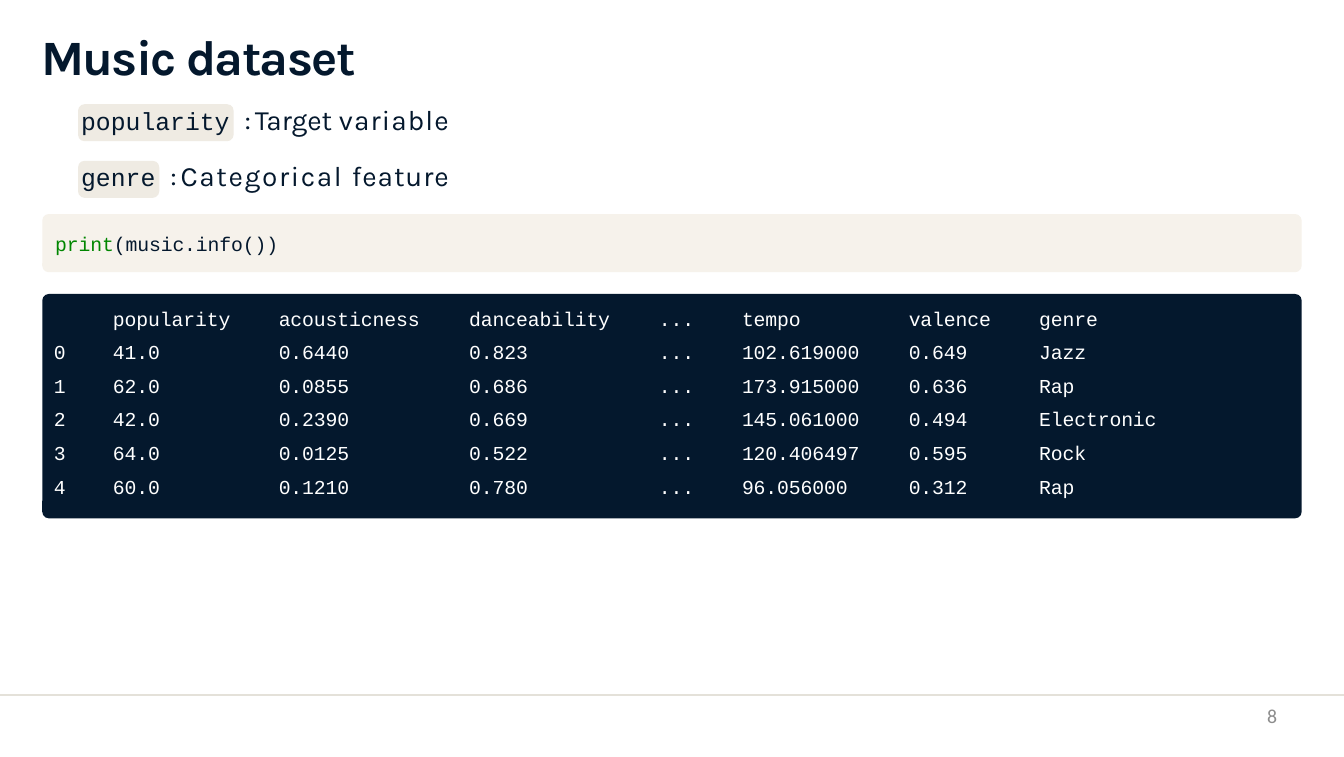
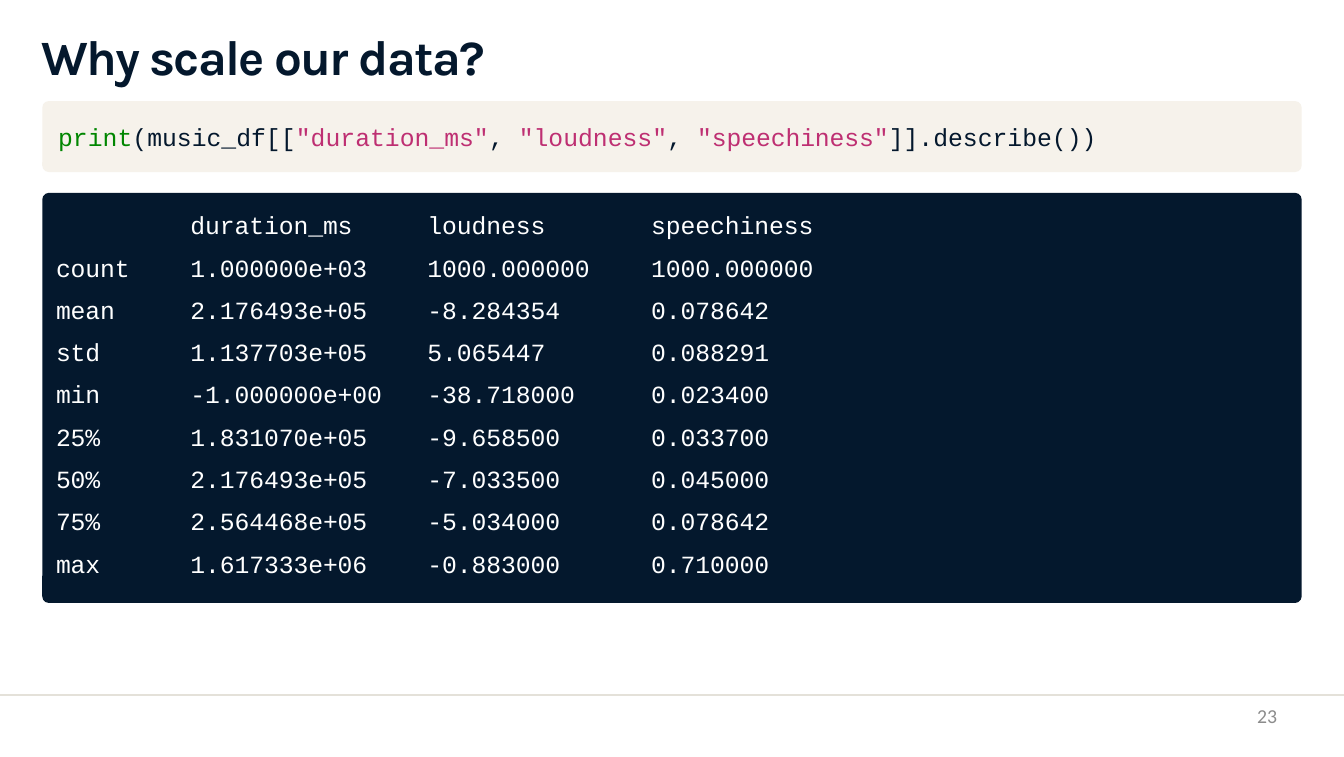
from dataclasses import dataclass

from lxml import etree
from pptx import Presentation
from pptx.dml.color import RGBColor
from pptx.enum.shapes import MSO_CONNECTOR, MSO_SHAPE
from pptx.enum.text import MSO_ANCHOR, PP_ALIGN
from pptx.oxml.ns import qn
from pptx.util import Cm, Pt

# Colours and fonts
NAVY = RGBColor(0x04, 0x18, 0x2D)
CREAM = RGBColor(0xF6, 0xF2, 0xEB)
CHIP = RGBColor(0xEF, 0xEB, 0xE3)
RULE = RGBColor(0xE4, 0xE1, 0xD9)
GRAY = RGBColor(0x8C, 0x8C, 0x8C)
WHITE = RGBColor(0xFF, 0xFF, 0xFF)
GREEN = RGBColor(0x00, 0x86, 0x00)
PINK = RGBColor(0xBE, 0x2F, 0x72)
HEAD_FONT, CODE_FONT, FOOT_FONT = "Karla", "Courier New", "Calibri"

ROUNDED = MSO_SHAPE.ROUNDED_RECTANGLE
STRAIGHT = MSO_CONNECTOR.STRAIGHT
TOP, MIDDLE = MSO_ANCHOR.TOP, MSO_ANCHOR.MIDDLE
LEFT, RIGHT = PP_ALIGN.LEFT, PP_ALIGN.RIGHT
PLAIN_TABLE = "{2D5ABB26-0587-4C30-8999-92F81FD0307C}"

# Shared measures, in centimetres
PAGE_WIDTH, PAGE_HEIGHT = 43.2, 24.33
MARGIN = 1.36
PANEL_WIDTH = PAGE_WIDTH - 2 * MARGIN
RADIUS = 0.21
RULE_TOP = 22.33


@dataclass(frozen=True)
class Span:
    text: str
    color: RGBColor = NAVY
    font: str = CODE_FONT
    size: float = 22.5
    spacing: float = 0
    bold: bool = False


@dataclass(frozen=True)
class Panel:
    top: float
    height: float
    color: RGBColor


@dataclass(frozen=True)
class Grid:
    left: float
    top: float
    row_height: float
    widths: tuple[float, ...]
    size: float
    rows: tuple[str, ...]


@dataclass(frozen=True)
class Feature:
    chip_width: float
    spans: tuple[Span, ...]


def add_run(para, text: str, *, font: str, size: float, color: RGBColor,
            spacing: float = 0, bold: bool = False) -> None:
    run = para.add_run()
    run.text = text
    run.font.name = font
    run.font.size = Pt(size)
    run.font.color.rgb = color
    run.font.bold = bold
    if spacing:
        run._r.get_or_add_rPr().set("spc", str(round(spacing * 100)))


def fill_frame(frame, spans: tuple[Span, ...], anchor=TOP, align=LEFT,
               inset: float = 0) -> None:
    frame.word_wrap = True
    frame.vertical_anchor = anchor
    frame.margin_left = Cm(inset)
    frame.margin_right = frame.margin_top = frame.margin_bottom = 0
    para = frame.paragraphs[0]
    para.alignment = align
    for span in spans:
        add_run(para, span.text, font=span.font, size=span.size,
                color=span.color, spacing=span.spacing, bold=span.bold)


def add_text(page, left: float, top: float, width: float, height: float,
             spans: tuple[Span, ...], anchor=TOP, align=LEFT) -> None:
    box = page.shapes.add_textbox(Cm(left), Cm(top), Cm(width), Cm(height))
    fill_frame(box.text_frame, spans, anchor, align)


def add_rounded(page, left: float, top: float, width: float, height: float,
                color: RGBColor):
    shape = page.shapes.add_shape(ROUNDED, Cm(left), Cm(top), Cm(width), Cm(height))
    shape.adjustments[0] = RADIUS / min(width, height)
    shape.shadow.inherit = False
    shape.fill.solid()
    shape.fill.fore_color.rgb = color
    shape.line.fill.background()
    return shape


def add_panel(page, panel: Panel):
    return add_rounded(page, MARGIN, panel.top, PANEL_WIDTH, panel.height, panel.color)


def add_code(page, panel: Panel, inset: float, spans: tuple[Span, ...]) -> None:
    fill_frame(add_panel(page, panel).text_frame, spans, MIDDLE, inset=inset)


def add_output(page, panel: Panel, grid: Grid) -> None:
    add_panel(page, panel)
    # The header has no entry above the index column
    rows = [line.split() for line in grid.rows]
    rows[0].insert(0, "")
    frame = page.shapes.add_table(
        len(rows), len(grid.widths), Cm(grid.left), Cm(grid.top),
        Cm(sum(grid.widths)), Cm(grid.row_height * len(rows)))
    table = frame.table
    table.first_row = table.horz_banding = False
    table._tbl.tblPr.find(qn("a:tableStyleId")).text = PLAIN_TABLE
    for column, width in zip(table.columns, grid.widths):
        column.width = Cm(width)
    for row, values in zip(table.rows, rows):
        row.height = Cm(grid.row_height)
        for cell, value in zip(row.cells, values):
            cell.fill.background()
            cell.vertical_anchor = MIDDLE
            cell.margin_left = cell.margin_right = 0
            cell.margin_top = cell.margin_bottom = 0
            if value:
                add_run(cell.text_frame.paragraphs[0], value, font=CODE_FONT,
                        size=grid.size, color=WHITE, spacing=-0.1)


def add_page(deck, title: str, number: int):
    page = deck.slides.add_slide(deck.slide_layouts[6])
    # Footer rule and page number
    rule = page.shapes.add_connector(STRAIGHT, 0, Cm(RULE_TOP), Cm(PAGE_WIDTH), Cm(RULE_TOP))
    rule.line.color.rgb = RULE
    rule.line.width = Pt(1.5)
    etree.SubElement(rule._element.spPr, qn("a:effectLst"))
    add_text(page, 31.12, 22.63, 9.93, 1.22,
             (Span(str(number), GRAY, FOOT_FONT, 18),), align=RIGHT)
    # Title
    add_text(page, 1.32, 0.85, 33.4, 1.98,
             (Span(title, NAVY, HEAD_FONT, 45, -1.5, True),))
    return page


def add_features(page, features: tuple[Feature, ...]) -> None:
    left, first_top, pitch, height = 2.51, 3.35, 1.82, 1.19
    for index, feature in enumerate(features):
        top = first_top + index * pitch
        add_rounded(page, left, top, feature.chip_width, height, CHIP)
        add_text(page, left + 0.1, top - 0.12, 14, height, feature.spans, MIDDLE)


def label(text: str, spacing: float) -> Span:
    return Span(text, font=HEAD_FONT, size=25.5, spacing=spacing)


# Page contents
FEATURES = (
    Feature(5, (Span("popularity "), label(": ", -2.7), label("Target ", 0),
                label("variable", 1))),
    Feature(2.61, (Span("genre "), label(": ", -2.7), label("Categorical ", 1.5),
                   label("feature", 0.8))),
)
INFO_CODE = (
    Span("print", GREEN, size=18, spacing=-0.1),
    Span("(music.info())", size=18, spacing=-0.1),
)
INFO_GRID = Grid(
    1.73, 9.77, 1.08, (1.9, 5.33, 6.12, 6.1, 2.67, 5.36, 4.19, 3.86), 18, (
        "popularity acousticness danceability ... tempo valence genre",
        "0 41.0 0.6440 0.823 ... 102.619000 0.649 Jazz",
        "1 62.0 0.0855 0.686 ... 173.915000 0.636 Rap",
        "2 42.0 0.2390 0.669 ... 145.061000 0.494 Electronic",
        "3 64.0 0.0125 0.522 ... 120.406497 0.595 Rock",
        "4 60.0 0.1210 0.780 ... 96.056000 0.312 Rap",
    ))
DESCRIBE_CODE = (
    Span("print", GREEN),
    Span("(music_df[["),
    Span('"duration_ms"', PINK),
    Span(", "),
    Span('"loudness"', PINK),
    Span(", "),
    Span('"speechiness"', PINK, spacing=-0.1),
    Span("]].describe())"),
)
DESCRIBE_GRID = Grid(
    1.8, 6.65, 1.36, (4.32, 7.62, 7.19, 5.33), 22.5, (
        "duration_ms loudness speechiness",
        "count 1.000000e+03 1000.000000 1000.000000",
        "mean 2.176493e+05 -8.284354 0.078642",
        "std 1.137703e+05 5.065447 0.088291",
        "min -1.000000e+00 -38.718000 0.023400",
        "25% 1.831070e+05 -9.658500 0.033700",
        "50% 2.176493e+05 -7.033500 0.045000",
        "75% 2.564468e+05 -5.034000 0.078642",
        "max 1.617333e+06 -0.883000 0.710000",
    ))


def main() -> None:
    deck = Presentation()
    deck.slide_width, deck.slide_height = Cm(PAGE_WIDTH), Cm(PAGE_HEIGHT)

    # Music dataset
    page = add_page(deck, "Music dataset", 8)
    add_features(page, FEATURES)
    add_code(page, Panel(6.88, 1.87, CREAM), 0.35, INFO_CODE)
    add_output(page, Panel(9.45, 7.21, NAVY), INFO_GRID)

    # Why scale our data?
    page = add_page(deck, "Why scale our data?", 23)
    add_code(page, Panel(3.25, 2.28, CREAM), 0.45, DESCRIBE_CODE)
    add_output(page, Panel(6.2, 13.18, NAVY), DESCRIBE_GRID)

    deck.save("out.pptx")


if __name__ == "__main__":
    main()
